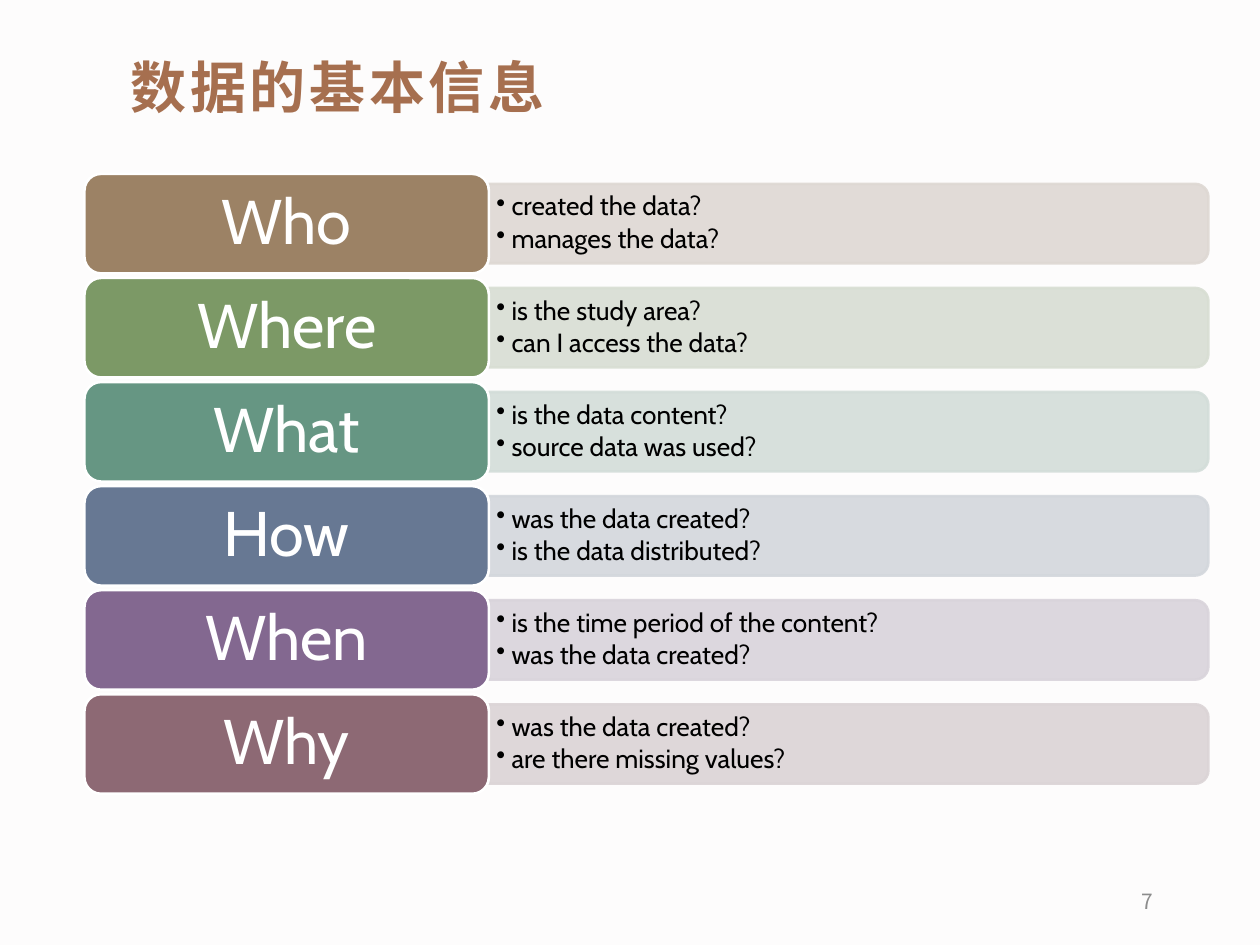
from dataclasses import dataclass
from typing import Any

from lxml.etree import SubElement
from pptx import Presentation
from pptx.dml.color import RGBColor
from pptx.enum.shapes import MSO_SHAPE
from pptx.enum.text import MSO_ANCHOR, PP_ALIGN
from pptx.oxml.ns import qn
from pptx.util import Inches, Pt

COLORS = {
    "back": "FDFCFC", "title": "A66F4F", "number": "8C8C8C",
    "white": "FFFFFF", "black": "000000",
    "Who": "9C8265", "Who band": "DED8D3",
    "Where": "7C9966", "Where band": "D8DED3",
    "What": "669683", "What band": "D3DDD9",
    "How": "677893", "How band": "D3D7DC",
    "When": "836890", "When band": "D9D4DB",
    "Why": "8D6974", "Why band": "DBD4D6",
}
CJK = "Noto Sans CJK SC"
LEFT, TOP, WIDTH, HEIGHT = 0.67, 1.38, 3.21, 0.79
PITCH = (5.51 - TOP) / 5
SPLIT = LEFT + WIDTH
LONG, THICK = 5.71, 0.63


@dataclass
class Topic:
    name: str
    points: tuple[str, str]


@dataclass
class Style:
    face: str
    size: int
    color: str
    bold: bool = False
    align: PP_ALIGN = PP_ALIGN.LEFT
    lines: float = 1.0
    after: float = 0


TITLE = Style(CJK, 32, "title", bold=True, lines=0.9)
NUMBER = Style(CJK, 12, "number", align=PP_ALIGN.RIGHT)
LABEL = Style("Cabin", 36, "white", align=PP_ALIGN.CENTER, lines=0.9)
POINT = Style("Cabin", 15, "black", lines=0.9, after=2.25)

TOPICS = [
    Topic("Who", ("created the data?", "manages the data?")),
    Topic("Where", ("is the study area?", "can I access the data?")),
    Topic("What", ("is the data content?", "source data was used?")),
    Topic("How", ("was the data created?", "is the data distributed?")),
    Topic("When", ("is the time period of the content?", "was the data created?")),
    Topic("Why", ("was the data created?", "are there missing values?")),
]


def rgb(key: str) -> RGBColor:
    return RGBColor.from_string(COLORS[key])


def apply(item: Any, values: dict[str, Any]) -> None:
    for key, value in values.items():
        setattr(item, key, value)


def write(shape: Any, texts: tuple[str, ...], style: Style,
          inset: tuple[float, float] = (0.1, 0.05)) -> list[Any]:
    frame = shape.text_frame
    side, edge = map(Inches, inset)
    apply(frame, {
        "word_wrap": True, "vertical_anchor": MSO_ANCHOR.MIDDLE,
        "margin_left": side, "margin_right": side,
        "margin_top": edge, "margin_bottom": edge,
        "text": "\n".join(texts),
    })
    for para in frame.paragraphs:
        apply(para, {"alignment": style.align, "line_spacing": style.lines,
                     "space_after": Pt(style.after)})
        font = para.runs[0].font
        apply(font, {"name": style.face, "size": Pt(style.size), "bold": style.bold})
        font.color.rgb = rgb(style.color)
        SubElement(para.runs[0].font._element, qn("a:ea"), typeface=style.face)
    return list(frame.paragraphs)


def add_text(slide: Any, box: tuple[float, ...], texts: tuple[str, ...],
             style: Style, inset: tuple[float, float] = (0.1, 0.05)) -> list[Any]:
    return write(slide.shapes.add_textbox(*map(Inches, box)), texts, style, inset)


def add_box(slide: Any, kind: MSO_SHAPE, box: tuple[float, ...],
            fill: str, line: str) -> Any:
    shape = slide.shapes.add_shape(kind, *map(Inches, box))
    shape.shadow.inherit = False
    shape.fill.solid()
    shape.fill.fore_color.rgb = rgb(fill)
    shape.line.color.rgb = rgb(line)
    shape.line.width = Pt(1.5)
    return shape


def add_bullet(para: Any) -> None:
    props = para._p.get_or_add_pPr()
    props.set("marL", str(Inches(0.12)))
    props.set("indent", str(Inches(-0.12)))
    SubElement(props, qn("a:buChar"), char="•")


def add_topic(slide: Any, topic: Topic, top: float) -> None:
    mid = top + HEIGHT / 2
    tint = f"{topic.name} band"
    band = add_box(slide, MSO_SHAPE.ROUND_2_SAME_RECTANGLE,
                   (SPLIT + (LONG - THICK) / 2, mid - LONG / 2, THICK, LONG), tint, tint)
    band.rotation = 90
    for color in band._element.spPr.iter(qn("a:srgbClr")):
        SubElement(color, qn("a:alpha"), val="90000")
    for para in add_text(slide, (SPLIT, mid - 0.285, 5.68, 0.57),
                         topic.points, POINT, (0.06, 0.03)):
        add_bullet(para)
    label = add_box(slide, MSO_SHAPE.ROUNDED_RECTANGLE,
                    (LEFT, top, WIDTH, HEIGHT), topic.name, "white")
    write(label, (topic.name,), LABEL, (0.15, 0.07))


def main() -> None:
    deck = Presentation()
    apply(deck, {"slide_width": Inches(10), "slide_height": Inches(7.5)})
    slide = deck.slides.add_slide(deck.slide_layouts[6])
    slide.background.fill.solid()
    slide.background.fill.fore_color.rgb = rgb("back")
    head = add_text(slide, (0.94, 0.33, 8.31, 0.78), ("数据的基本信息",), TITLE)
    head[0].runs[0].font._element.set("spc", "200")
    add_text(slide, (7, 6.95, 2.25, 0.4), ("7",), NUMBER)
    for row, topic in enumerate(TOPICS):
        add_topic(slide, topic, TOP + row * PITCH)
    deck.save("out.pptx")


if __name__ == "__main__":
    main()
